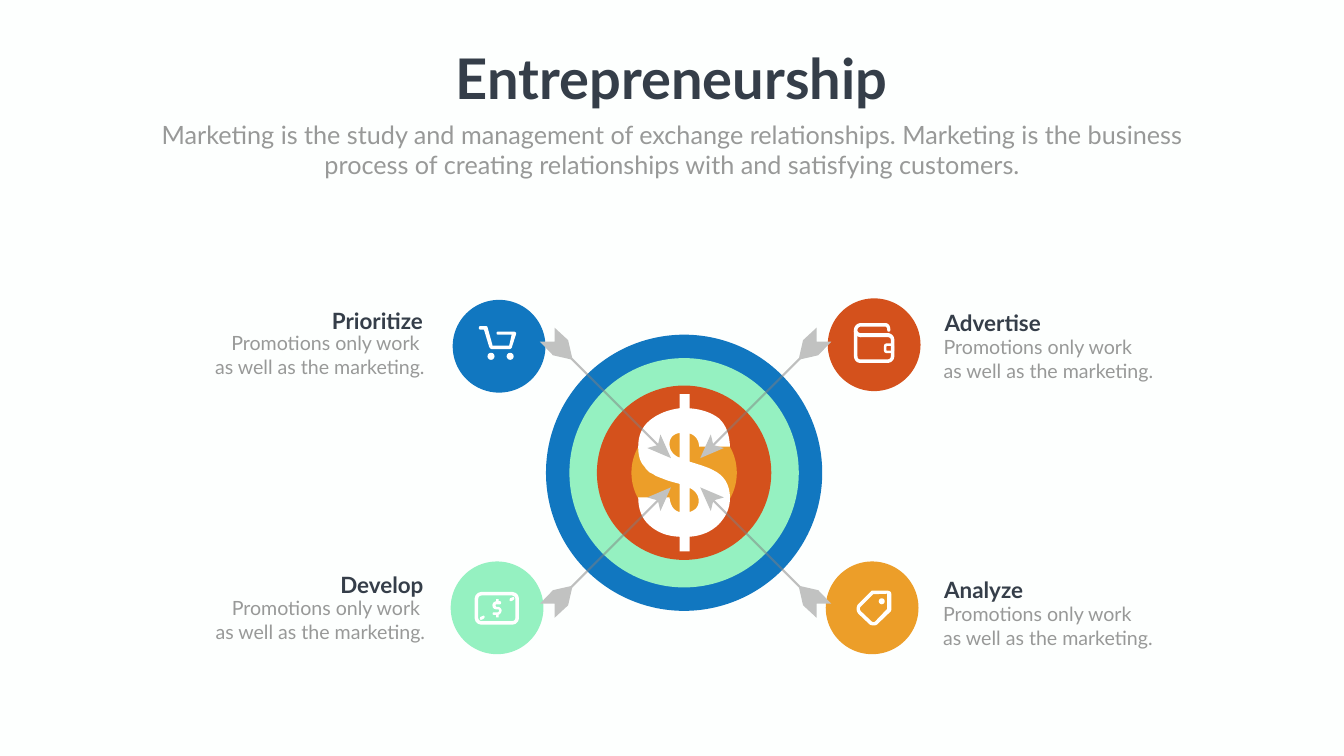
"""Build the Entrepreneurship slide: a target hit by four labelled arrows."""
import itertools

import pptx
import pptx.dml.color
import pptx.enum.shapes
import pptx.enum.text
import pptx.oxml
import pptx.oxml.ns
import pptx.util

Inches = pptx.util.Inches
Pt = pptx.util.Pt
Shape = pptx.enum.shapes.MSO_SHAPE
Align = pptx.enum.text.PP_ALIGN

BLUE, MINT, RED, AMBER = "1177C0", "95F1C1", "D4511C", "EC9E29"
DARK, GREY, SILVER, WHITE = "353E49", "989998", "C1C2C1", "FFFFFF"
CENTER_X, CENTER_Y = 13.6, 9.38

TAG = ("35 69; 32 69 27 68 25 65; 5 46; 0 41 0 31 5 26; 30 1; 31 0 31 0 32 0; 62 0; 67 0 70 3 70 6; 70 37;"
       "70 38 70 39 69 41; 44 65; 42 68 38 69 35 69 /"
       "34 7; 10 31; 7 33 7 38 10 41; 30 60; 33 63 37 63 39 60; 62 36; 62 6")
CART = ("60 46; 27 46; 23 46 21 43 20 40; 10 7; 3 7; 1 7 0 6 0 4; 0 1 1 0 3 0; 14 0; 15 0 17 1 17 2; 27 38;"
        "27 39; 60 39; 65 17; 38 17; 36 17 35 16 35 14; 35 12 36 11 38 11; 69 11; 70 11 71 11 72 12;"
        "74 13 74 14 74 15; 66 40; 66 43 63 46 60 46")
SMALL_DOLLAR = ("11 27; 4 27; 2 27 1 26 1 24; 1 23 2 22 4 22; 11 22; 13 22 14 20 14 18; 14 17 13 16 11 16;"
                "9 16; 4 16 1 13 1 9; 0 5 4 0 9 0; 16 0; 17 0 18 1 18 3; 18 5 17 6 16 6; 9 6; 8 6 7 7 7 8;"
                "7 10 8 11 9 11; 11 11; 16 11 19 15 19 19; 18 24 15 27 11 27")
NOTE_MARK = "6 1; 1 3; 0 4 0 6 0 8; 1 9 3 9 5 8; 8 6; 9 4 10 3 9 2; 8 0 7 0 6 1"
WALLET_BODY = ("67 64; 12 64; 5 64 0 58 0 51; 0 0; 7 0; 7 51; 7 55 9 57 12 57; 67 57; 70 57 73 55 73 51;"
               "73 18; 73 15 70 13 67 13; 12 13; 12 5; 67 5; 74 5 80 11 80 18; 80 51; 80 58 74 64 67 64")
WALLET_FLAP = ("16 28; 7 28 0 20 2 12; 3 5 9 0 16 0; 64 0; 70 0 74 5 74 12; 74 14; 74 16 73 17 71 17;"
               "69 17 68 16 68 14; 68 12; 68 10 66 7 64 7; 16 7; 12 7 9 10 9 13; 8 17 11 20 16 20")
BIG_DOLLAR = ("182 206; 182 227 174 243 160 258; 145 273 126 281 102 283; 102 312; 82 312; 82 283;"
              "57 282 37 274 22 260; 7 247 0 228 0 205; 62 205; 64 221 70 231 82 234; 82 178;"
              "71 175 62 173 52 169; 42 165 36 163 33 161; 30 159 27 157 22 155; 19 151 15 149 14 146;"
              "11 142 8 139 6 135; 2 127 0 118 0 104; 0 83 7 65 23 52; 39 39 59 31 82 28; 82 0; 102 0;"
              "102 28; 126 30 146 37 160 48; 174 61 181 79 182 104; 121 104; 120 91 114 82 102 78; 102 134;"
              "125 141 140 146 147 150; 171 161 182 180 182 206 /"
              "82 77; 69 79 62 87 62 99; 62 111 69 121 82 126 /"
              "102 234; 114 230 120 223 120 212; 120 201 114 192 102 186")

ARROW_HEAD = [(0.29, 0.29), (0.5, 0.76), (0.55, 0.55), (0.76, 0.49)]
ARROW_TAIL = [(2.28, 2.25), (2.63, 2.33), (2.89, 2.6), (2.6, 2.6), (2.6, 2.88), (2.33, 2.63), (2.25, 2.28)]

BUBBLES = [(16.38, 11.14, AMBER), (16.42, 5.92, RED), (8.94, 11.14, MINT), (8.98, 5.95, BLUE)]
GLYPHS = [(16.98, 11.72, TAG), (9.5, 6.47, CART), (9.76, 11.93, SMALL_DOLLAR), (10.11, 11.84, NOTE_MARK),
          (9.52, 12.21, NOTE_MARK), (16.94, 6.56, WALLET_BODY), (16.92, 6.41, WALLET_FLAP)]
DOTS = [(17.43, 11.87, 0.12), (9.67, 7, 0.14), (10.05, 7, 0.14)]
RINGS = [(5.48, BLUE), (4.55, MINT), (3.46, RED), (2.09, AMBER)]
LABELS = [("Advertise", 18.64, 6.09, 18.62, 6.6, Align.LEFT), ("Prioritize", 5.59, 6.04, 3.34, 6.52, Align.RIGHT),
          ("Analyze", 18.63, 11.38, 18.61, 11.9, Align.LEFT), ("Develop", 5.6, 11.29, 3.35, 11.78, Align.RIGHT)]


def color(value):
    return pptx.dml.color.RGBColor.from_string(value)


def trace(contour, steps=8):
    points = []
    for part in contour.split(";"):
        numbers = [float(number) / 100 for number in part.split()]
        if len(numbers) == 2:
            points.append(tuple(numbers))
            continue
        corners = [points[-1], *zip(numbers[::2], numbers[1::2])]
        for step in range(1, steps + 1):
            t = step / steps
            weights = ((1 - t) ** 3, 3 * t * (1 - t) ** 2, 3 * t * t * (1 - t), t ** 3)
            points.append(tuple(sum(w * c[axis] for w, c in zip(weights, corners)) for axis in (0, 1)))
    return points


class Painter:
    def __init__(self, page, font):
        self.page = page
        self.font = font

    def paint(self, shape, fill):
        shape.shadow.inherit = False
        shape.fill.solid()
        shape.fill.fore_color.rgb = color(fill)
        shape.line.fill.background()

    def preset(self, kind, left, top, width, height, fill):
        shape = self.page.shapes.add_shape(kind, Inches(left), Inches(top), Inches(width), Inches(height))
        self.paint(shape, fill)
        return shape

    def frame(self, left, top, width, height, weight, rounding):
        shape = self.preset(Shape.ROUNDED_RECTANGLE, left, top, width, height, WHITE)
        shape.adjustments[0] = rounding
        shape.fill.background()
        shape.line.color.rgb = color(WHITE)
        shape.line.width = Pt(weight)

    def outline(self, contours, fill, left=0, top=0):
        placed = [[(Inches(left + x), Inches(top + y)) for x, y in contour] for contour in contours]
        builder = self.page.shapes.build_freeform(*placed[0][0])
        builder.add_line_segments(placed[0][1:], close=True)
        for contour in placed[1:]:
            builder.move_to(*contour[0])
            builder.add_line_segments(contour[1:], close=True)
        self.paint(builder.convert_to_shape(), fill)

    def glyph(self, left, top, drawing):
        self.outline([trace(contour) for contour in drawing.split("/")], WHITE, left, top)

    def shaft(self, start, end):
        line = self.page.shapes.add_connector(
            pptx.enum.shapes.MSO_CONNECTOR.STRAIGHT, *(Inches(value) for value in (*start, *end)))
        line.line.color.rgb = color("808080")
        line.line.width = Pt(3)
        tone = line.line._ln.find(".//" + pptx.oxml.ns.qn("a:srgbClr"))
        tone.append(pptx.oxml.parse_xml(f'<a:alpha {pptx.oxml.ns.nsdecls("a")} val="50000"/>'))
        line._element.spPr.append(pptx.oxml.parse_xml(f'<a:effectLst {pptx.oxml.ns.nsdecls("a")}/>'))

    def arrow(self, side_x, side_y):
        def place(points):
            return [(CENTER_X + side_x * x, CENTER_Y + side_y * y) for x, y in points]
        self.shaft(*place([(0.53, 0.53), (2.3, 2.3)]))
        for part in (ARROW_HEAD, ARROW_TAIL):
            self.outline([place(part)], SILVER)

    def text(self, lines, left, top, width, height, size, tone, align, bold=False, wrap=True):
        box = self.page.shapes.add_textbox(Inches(left), Inches(top), Inches(width), Inches(height))
        frame = box.text_frame
        frame.word_wrap = wrap
        frame.auto_size = pptx.enum.text.MSO_AUTO_SIZE.SHAPE_TO_FIT_TEXT
        frame.text = "\n".join(lines)
        for para in frame.paragraphs:
            para.alignment = align
            para.font.name = self.font
            para.font.size = Pt(size)
            para.font.bold = bold
            para.font.color.rgb = color(tone)


def main():
    deck = pptx.Presentation()
    deck.slide_width, deck.slide_height = Inches(26.66), Inches(15)
    page = deck.slides.add_slide(deck.slide_layouts[6])
    page.background.fill.solid()
    page.background.fill.fore_color.rgb = color("FDFFFE")
    painter = Painter(page, "Lato")

    for left, top, fill in BUBBLES:
        painter.preset(Shape.OVAL, left, top, 1.84, 1.84, fill)
    for glyph in GLYPHS:
        painter.glyph(*glyph)
    for left, top, size in DOTS:
        painter.preset(Shape.OVAL, left, top, size, size, WHITE)
    for top, height in ((11.89, 0.06), (12.17, 0.08)):
        painter.preset(Shape.RECTANGLE, 9.84, top, 0.05, height, WHITE)
    painter.frame(9.45, 11.78, 0.81, 0.58, 5, 0.17)
    painter.frame(17.56, 6.84, 0.15, 0.14, 3.6, 0.17)

    for name, name_left, name_top, left, top, align in LABELS:
        on_right = align == Align.RIGHT
        first = "Promotions only work " if on_right else "Promotions only work"
        painter.text([name], name_left, name_top, 2.9, 0.64, 32, DARK, align, bold=True)
        painter.text([first, "as well as the marketing."], left, top,
                     5.18 if on_right else 5.12, 1.51 if on_right else 1.99, 28, GREY, align)
    painter.text(["Entrepreneurship"], 8.85, 0.82, 8.95, 1.45, 80, DARK, Align.CENTER, bold=True, wrap=False)
    painter.text(["Marketing is the study and management of exchange relationships. Marketing is the business "
                  "process of creating relationships with and satisfying customers."],
                 2.92, 2.31, 20.82, 1.31, 36, GREY, Align.CENTER)

    for size, fill in RINGS:
        painter.preset(Shape.OVAL, 13.57 - size / 2, CENTER_Y - size / 2, size, size, fill)
    painter.glyph(12.66, 7.82, BIG_DOLLAR)
    for side_x, side_y in itertools.product((1, -1), repeat=2):
        painter.arrow(side_x, side_y)

    deck.save("out.pptx")


if __name__ == "__main__":
    main()
